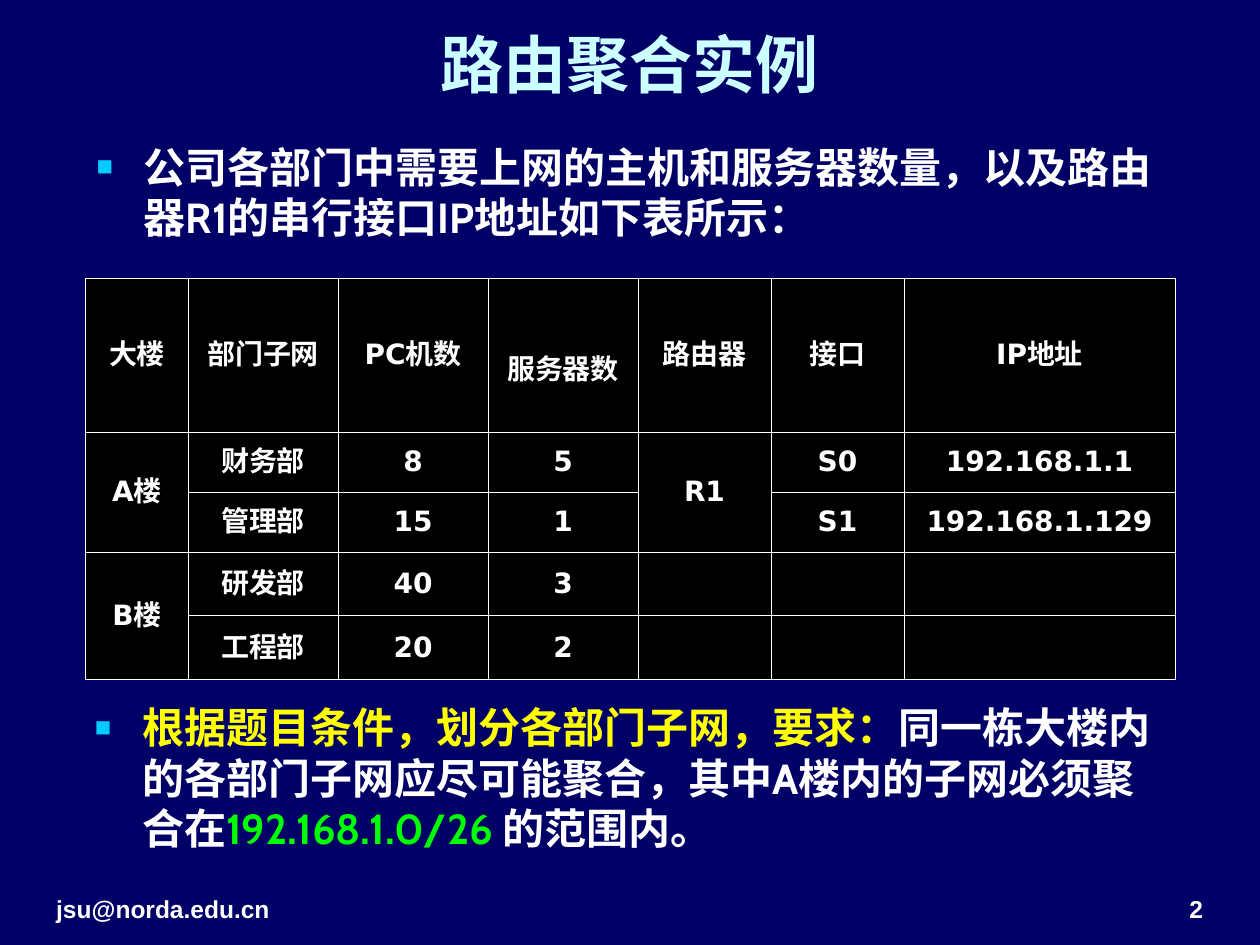
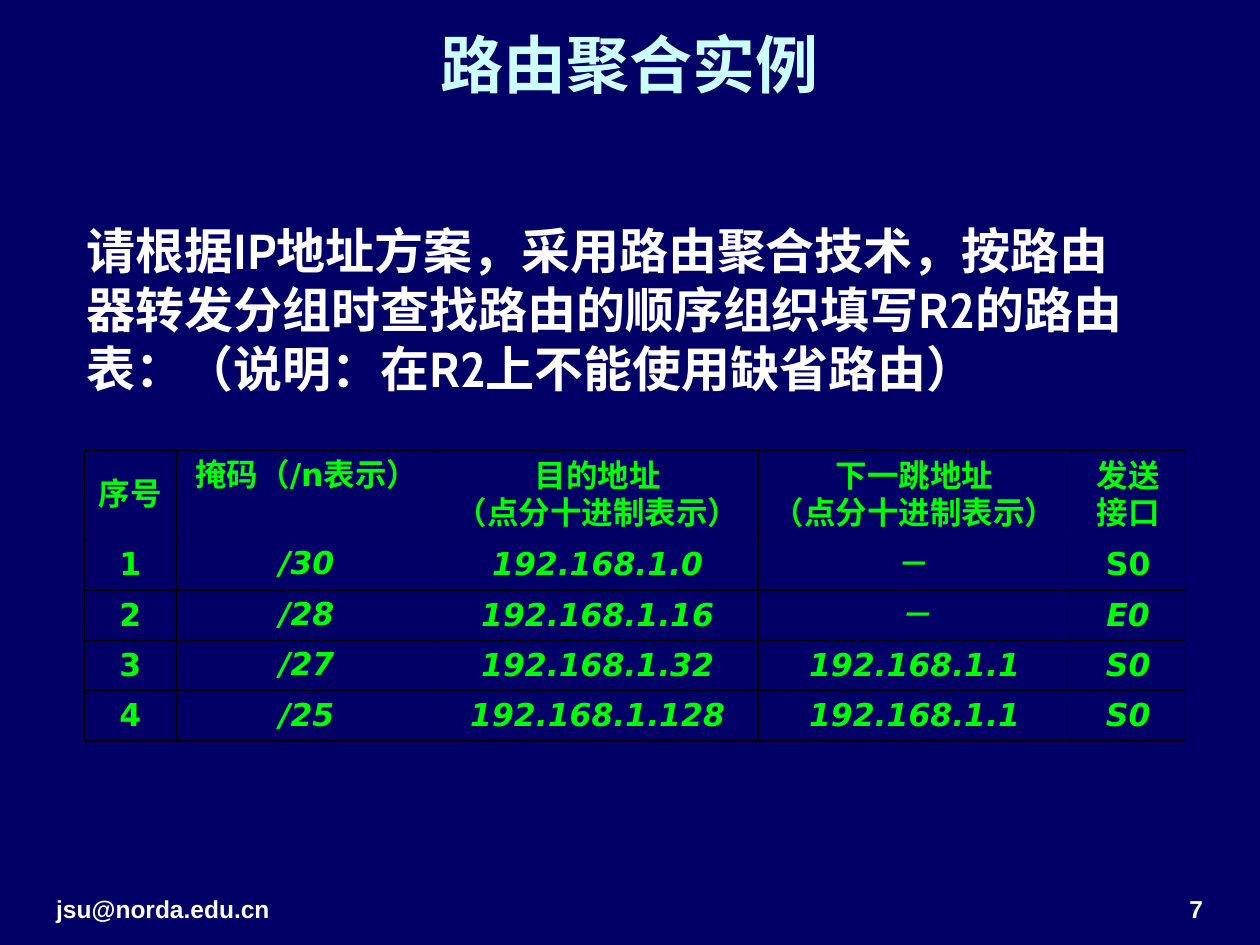
from pptx import Presentation
from pptx.dml.color import RGBColor
from pptx.enum.text import MSO_ANCHOR as ANCHOR, MSO_AUTO_SIZE as AUTO, PP_ALIGN as ALIGN
from pptx.oxml.ns import qn
from pptx.util import Pt
from lxml.etree import SubElement

COLORS = {
    "navy": "000066",
    "ice": "CCFFFF",
    "cyan": "00CCFF",
    "white": "FFFFFF",
    "black": "000000",
    "yellow": "FFFF00",
    "green": "00FF00",
}
TITLE = "路由聚合实例"
EMAIL = "jsu@norda.edu.cn"
TITLE_BOX = (25, 9.5, 669, 53)
EMAIL_BOX = (25, 497, 168, 34)
NUMBER_BOX = (526.5, 497, 168, 34)
THIN, THICK = 0.45, 0.96

HOSTS = [
    ["大楼", "部门子网", "PC机数", "服务器数", "路由器", "接口", "IP地址"],
    ["A楼", "财务部", "8", "5", "R1", "S0", "192.168.1.1"],
    ["", "管理部", "15", "1", "", "S1", "192.168.1.129"],
    ["B楼", "研发部", "40", "3", "", "", ""],
    ["", "工程部", "20", "2", "", "", ""],
]
ROUTES = [
    ["序号", "掩码（/n表示）", "目的地址\n（点分十进制表示）",
     "下一跳地址\n（点分十进制表示）", "发送接口"],
    ["1", "/30", "192.168.1.0", "－", "S0"],
    ["2", "/28", "192.168.1.16", "－", "E0"],
    ["3", "/27", "192.168.1.32", "192.168.1.1", "S0"],
    ["4", "/25", "192.168.1.128", "192.168.1.1", "S0"],
]


def rgb(name):
    return RGBColor.from_string(COLORS[name])


def place(sp, box):
    sp.left, sp.top, sp.width, sp.height = map(Pt, box)


def add_run(p, text, font, size, color, italic=False):
    r = p.add_run()
    r.text = text
    r.font.name = font
    r.font.size = Pt(size)
    r.font.bold = True
    r.font.italic = italic
    r.font.color.rgb = rgb(color)
    SubElement(r.font._element, qn("a:ea"), typeface=font)


def set_frame(sp, anchor):
    tf = sp.text_frame
    tf.word_wrap = True
    tf.auto_size = AUTO.NONE
    tf.vertical_anchor = anchor
    return tf


def set_indent(p, left, first):
    pPr = p._p.get_or_add_pPr()
    pPr.set("marL", str(Pt(left)))
    pPr.set("indent", str(Pt(first)))
    return pPr


def add_title(s):
    place(s.shapes.title, TITLE_BOX)
    p = set_frame(s.shapes.title, ANCHOR.MIDDLE).paragraphs[0]
    p.alignment = ALIGN.CENTER
    add_run(p, TITLE, "Karla", 36, "ice")


def add_footer(s, number):
    for box, text, align in ((EMAIL_BOX, EMAIL, ALIGN.LEFT),
                             (NUMBER_BOX, number, ALIGN.RIGHT)):
        sp = s.shapes.add_textbox(*map(Pt, box))
        p = set_frame(sp, ANCHOR.BOTTOM).paragraphs[0]
        p.alignment = align
        add_run(p, text, "Arial", 14, "white")


def add_bullet(sp, box, parts):
    place(sp, box)
    p = set_frame(sp, ANCHOR.TOP).paragraphs[0]
    p.space_before = Pt(9)
    pPr = set_indent(p, 27, -27)
    color = SubElement(pPr, qn("a:buClr"))
    SubElement(color, qn("a:srgbClr"), val=COLORS["cyan"])
    SubElement(pPr, qn("a:buSzPct"), val="65000")
    SubElement(pPr, qn("a:buFont"), typeface="Arial")
    SubElement(pPr, qn("a:buChar"), char="■")
    for text, name in parts:
        add_run(p, text, "Cabin", 24, name)


def add_question(sp, box, text):
    place(sp, box)
    tf = set_frame(sp, ANCHOR.MIDDLE)
    tf.margin_top = Pt(34)
    p = tf.paragraphs[0]
    p.space_before = Pt(0)
    SubElement(set_indent(p, 0, 0), qn("a:buNone"))
    add_run(p, text, "Cabin", 28, "white")


def set_borders(cell, color, widths):
    tcPr = cell._tc.get_or_add_tcPr()
    for side, width in zip("LRTB", widths):
        ln = SubElement(tcPr, qn(f"a:ln{side}"), w=str(Pt(width)))
        fill = SubElement(ln, qn("a:solidFill"))
        SubElement(fill, qn("a:srgbClr"), val=COLORS[color])


def add_grid(s, left, top, widths, heights, rows, size, color, line, edge,
             fill=None, italic=lambda i, j: False):
    frame = s.shapes.add_table(len(rows), len(widths), Pt(left), Pt(top),
                               Pt(sum(widths)), Pt(sum(heights)))
    table = frame.table
    table.first_row = table.horz_banding = False
    for column, width in zip(table.columns, widths):
        column.width = Pt(width)
    for row, height in zip(table.rows, heights):
        row.height = Pt(height)
    for i, row in enumerate(rows):
        for j, text in enumerate(row):
            cell = table.cell(i, j)
            outer = (j == 0, j == len(row) - 1, i == 0, i == len(rows) - 1)
            set_borders(cell, line, [edge if o else THIN for o in outer])
            if fill:
                cell.fill.solid()
                cell.fill.fore_color.rgb = rgb(fill)
            else:
                cell.fill.background()
            cell.vertical_anchor = ANCHOR.MIDDLE
            tf = cell.text_frame
            for k, part in enumerate(text.split("\n") if text else []):
                p = tf.add_paragraph() if k else tf.paragraphs[0]
                p.alignment = ALIGN.CENTER
                add_run(p, part, "DejaVu Sans", size, color, italic(i, j))
    return table


def hosts_slide(prs):
    s = prs.slides.add_slide(prs.slide_layouts[3])
    add_title(s)
    add_footer(s, "2")
    add_bullet(s.placeholders[1], (48, 77, 623.5, 80), [
        ("公司各部门中需要上网的主机和服务器数量，以及路由器R1的串行接口IP地址如下表所示：", "white"),
    ])
    table = add_grid(s, 49, 159, [58.5, 85.7, 85.7, 85.7, 76, 76, 155],
                     [88, 34.3, 34.3, 36.3, 36.3], HOSTS, 16,
                     "white", "white", THIN, fill="black")
    for row, col in ((1, 0), (3, 0), (1, 4)):
        table.cell(row, col).merge(table.cell(row + 1, col))
    servers = table.cell(0, 3)
    servers.vertical_anchor = ANCHOR.TOP
    servers.margin_top = Pt(43)
    add_bullet(s.placeholders[2], (47, 397.5, 623.5, 107), [
        ("根据题目条件，划分各部门子网，要求：", "yellow"),
        ("同一栋大楼内的各部门子网应尽可能聚合，其中A楼内的子网必须聚合在", "white"),
        ("192.168.1.0/26 ", "green"),
        ("的范围内。", "white"),
    ])


def routes_slide(prs):
    s = prs.slides.add_slide(prs.slide_layouts[1])
    add_title(s)
    add_footer(s, "7")
    add_question(
        s.placeholders[1], (42.5, 90, 612.7, 143),
        "请根据IP地址方案，采用路由聚合技术，按路由器转发分组时查找路由的顺序组织填写R2的路由表：（说明：在R2上不能使用缺省路由）")
    table = add_grid(s, 48.2, 257.5, [52.6, 149, 183.6, 178.6, 65.5],
                     [50.8] + [28.8] * 4, ROUTES, 18, "green", "black", THICK,
                     italic=lambda i, j: i > 0 and j > 0 and not (i == 1 and j > 2))
    for i in range(len(ROUTES)):
        table.cell(i, 1).vertical_anchor = ANCHOR.TOP


def main():
    prs = Presentation()
    prs.slide_width, prs.slide_height = Pt(720), Pt(540)
    background = prs.slide_master.background.fill
    background.solid()
    background.fore_color.rgb = rgb("navy")
    hosts_slide(prs)
    routes_slide(prs)
    prs.save("out.pptx")


if __name__ == "__main__":
    main()
